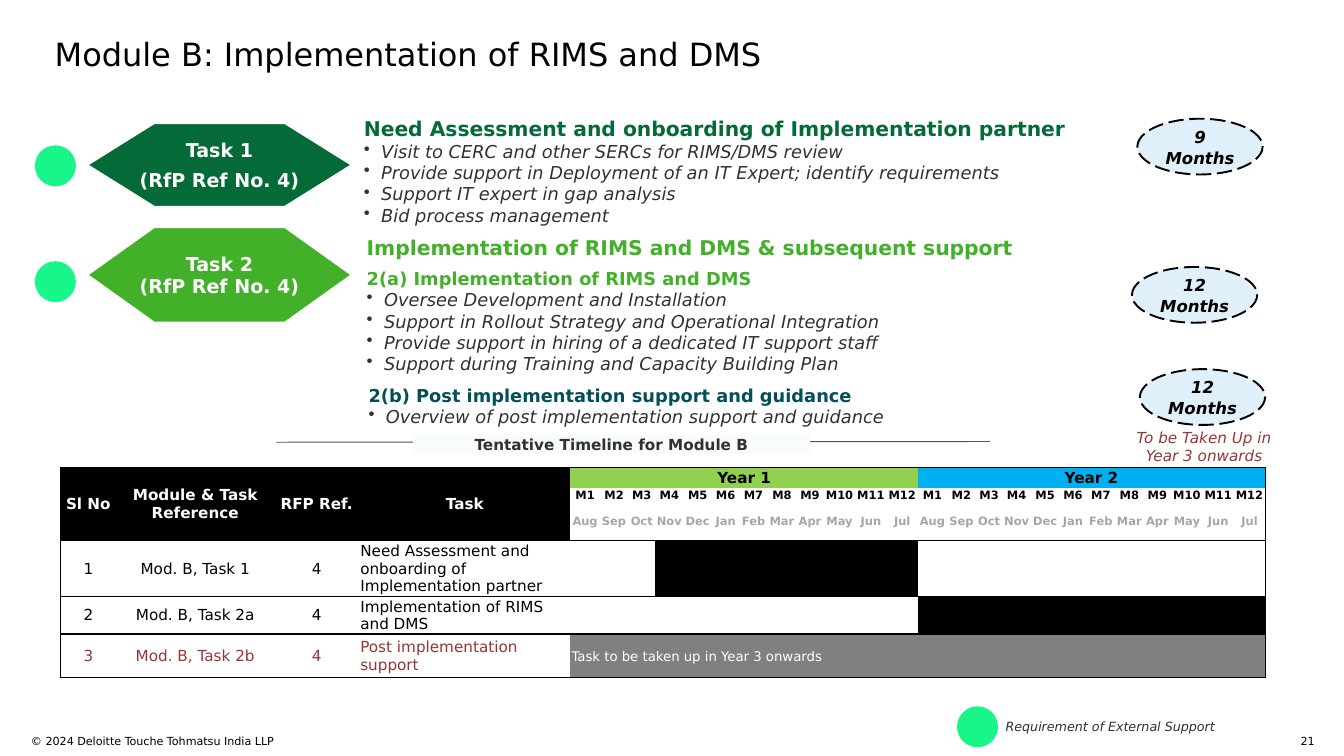
from dataclasses import dataclass
from typing import NamedTuple

from lxml import etree
from pptx import Presentation
from pptx import util as u
from pptx.dml.color import RGBColor
from pptx.enum import dml, shapes, text
from pptx.oxml import ns

Cm = u.Cm
ALIGN = text.PP_ALIGN
ANCHOR = text.MSO_ANCHOR
KIND = shapes.MSO_SHAPE


class Style(NamedTuple):
    size: float
    color: str
    bold: bool = False
    slant: bool = False


@dataclass(frozen=True)
class Theme:
    font: str = "DejaVu Sans"
    black: str = "000000"
    white: str = "FFFFFF"
    forest: str = "046A38"
    green: str = "43B02A"
    mint: str = "18F689"
    sky: str = "E0F0FA"
    pale: str = "F8FCFA"
    rule: str = "53565A"
    gray: str = "808080"
    lime: str = "92D050"
    blue: str = "00B0F0"
    stripe: str = "C5D9F1"
    title: Style = Style(25.2, "000000")
    foot: Style = Style(8.8, "000000")
    item: Style = Style(14, "313131", slant=True)
    head1: Style = Style(16, "046A38", True)
    head2: Style = Style(16, "43B02A", True)
    sub2a: Style = Style(14, "43B02A", True)
    sub2b: Style = Style(14, "004F59", True)
    task: Style = Style(15, "FFFFFF", True)
    term: Style = Style(13, "000000", True, True)
    band: Style = Style(12, "313131", True)
    key: Style = Style(10, "313131", slant=True)
    note: Style = Style(12, "963634", slant=True)
    top: Style = Style(12, "FFFFFF", True)
    year: Style = Style(12, "000000", True)
    num: Style = Style(9, "000000", True)
    month: Style = Style(9, "A6A6A6", True)
    body: Style = Style(12, "000000")
    later: Style = Style(12, "963634")
    bar: Style = Style(10.5, "FFFFFF")


T = Theme()


class Line(NamedTuple):
    text: str
    style: Style
    gap: float = 0
    bullet: bool = False


class Box(NamedTuple):
    left: float
    top: float
    width: float
    height: float


class Block(NamedTuple):
    box: Box
    lines: list[Line]
    align: ALIGN = ALIGN.LEFT
    pad: tuple[float, float] = (0, 0)


class Task(NamedTuple):
    top: float
    height: float
    fill: str
    lines: list[Line]


class Row(NamedTuple):
    cells: list[str]
    style: Style
    bar: range


def rgb(code: str) -> RGBColor:
    return RGBColor.from_string(code)


def place(box: Box) -> list[u.Length]:
    return [Cm(n) for n in box]


def write(frame, lines: list[Line], align=ALIGN.CENTER, pad=(0, 0),
          anchor=ANCHOR.TOP, space=None) -> None:
    frame.word_wrap = True
    frame.vertical_anchor = anchor
    frame.margin_left = frame.margin_right = Cm(pad[0])
    frame.margin_top = frame.margin_bottom = Cm(pad[1])
    frame.text = "\n".join(line.text for line in lines)
    for para, line in zip(frame.paragraphs, lines):
        para.alignment = align
        para.space_before = u.Pt(line.gap)
        if space:
            para.line_spacing = space
        if line.bullet:
            props = para._p.get_or_add_pPr()
            props.set("marL", str(Cm(0.48)))
            props.set("indent", str(-Cm(0.48)))
            etree.SubElement(props, ns.qn("a:buChar")).set("char", "•")
        for run in para.runs:
            font, style = run.font, line.style
            font.name, font.size = T.font, u.Pt(style.size)
            font.bold, font.italic = style.bold, style.slant
            font.color.rgb = rgb(style.color)


def paint(shape, fill: str, edge: str = "", width: float = 1) -> None:
    shape.shadow.inherit = False
    shape.fill.solid()
    shape.fill.fore_color.rgb = rgb(fill)
    if edge:
        shape.line.color.rgb = rgb(edge)
        shape.line.width = u.Pt(width)
    else:
        shape.line.fill.background()


def label(slide, block: Block) -> None:
    frame = slide.shapes.add_textbox(*place(block.box)).text_frame
    write(frame, block.lines, block.align, block.pad)


def dot(slide, left: float, top: float) -> None:
    paint(slide.shapes.add_shape(KIND.OVAL, *place(Box(left, top, 1.14, 1.14))), T.mint)


def badge(slide, left: float, top: float, words: str) -> None:
    oval = slide.shapes.add_shape(KIND.OVAL, *place(Box(left, top, 3.48, 1.55)))
    paint(oval, T.sky, T.black, 1.5)
    oval.line.dash_style = dml.MSO_LINE.LONG_DASH
    write(oval.text_frame, [Line(words, T.term)], pad=(0.25, 0.25),
          anchor=ANCHOR.MIDDLE, space=1.06)


def hexa(slide, task: Task) -> None:
    left, right, cut = 2.44, 9.76, 1.85
    mid, base = task.top + task.height / 2, task.top + task.height
    pen = slide.shapes.build_freeform(Cm(left + cut), Cm(base))
    pen.add_line_segments([(Cm(x), Cm(y)) for x, y in (
        (left, mid), (left + cut, task.top), (right - cut, task.top),
        (right, mid), (right - cut, base))])
    shape = pen.convert_to_shape()
    paint(shape, task.fill, T.white)
    write(shape.text_frame, task.lines, pad=(0.25, 0.13), anchor=ANCHOR.MIDDLE)


def rule(slide) -> None:
    line = slide.shapes.add_connector(
        shapes.MSO_CONNECTOR.STRAIGHT, Cm(7.67), Cm(12.29), Cm(27.51), Cm(12.27))
    line.line.color.rgb, line.line.width = rgb(T.rule), u.Pt(0.75)
    etree.SubElement(line._element.spPr, ns.qn("a:effectLst"))
    band = slide.shapes.add_shape(KIND.RECTANGLE, *place(Box(11.48, 12.09, 11.02, 0.51)))
    paint(band, T.pale)
    write(band.text_frame, [Line("Tentative Timeline for Module B", T.band)])


def edge(cell, sides: str) -> None:
    props = cell._tc.get_or_add_tcPr()
    for side in sides:
        line = etree.SubElement(props, ns.qn(f"a:ln{side}"), w=str(u.Pt(1)))
        fill = etree.SubElement(line, ns.qn("a:solidFill"))
        etree.SubElement(fill, ns.qn("a:srgbClr"), val=T.black)


def put(cell, words: str, style: Style, align=ALIGN.CENTER, fill: str = "") -> None:
    write(cell.text_frame, [Line(words, style)], align)
    if fill:
        cell.fill.solid()
        cell.fill.fore_color.rgb = rgb(fill)


def chart(slide) -> None:
    months = "Aug Sep Oct Nov Dec Jan Feb Mar Apr May Jun Jul".split()
    spans = [0.81, 0.8, 0.74, 0.79, 0.79, 0.76, 0.79, 0.79, 0.77, 0.87, 0.87, 0.87]
    wide = [1.55, 4.39, 2.36, 5.87] + spans * 2
    high = [0.56, 0.42, 0.98, 1.55, 1.03, 1.22]
    rows = [
        Row(["1", "Mod. B, Task 1", "4",
             "Need Assessment and onboarding of Implementation partner"], T.body, range(7, 16)),
        Row(["2", "Mod. B, Task 2a", "4", "Implementation of RIMS and DMS"],
            T.body, range(16, 28)),
        Row(["3", "Mod. B, Task 2b", "4", "Post implementation support"], T.later, range(0)),
    ]
    box = Box(1.68, 12.99, sum(wide), sum(high))
    grid = slide.shapes.add_table(len(high), len(wide), *place(box)).table
    grid.first_row = grid.horz_banding = False
    grid._tbl.tblPr.find(ns.qn("a:tableStyleId")).text = "{2D5ABB26-0587-4C30-8999-92F81FD0307C}"
    for col, size in zip(grid.columns, wide):
        col.width = Cm(size)
    for row, size in zip(grid.rows, high):
        row.height = Cm(size)
    for c in range(4):
        grid.cell(0, c).merge(grid.cell(2, c))
    for r, c in ((0, 4), (0, 16)):
        grid.cell(r, c).merge(grid.cell(r, c + 11))
    grid.cell(5, 4).merge(grid.cell(5, 27))
    for r in range(len(high)):
        for c in range(len(wide)):
            cell = grid.cell(r, c)
            edge(cell, ("L" if c == 0 else "")
                 + ("R" if c + cell.span_width == len(wide) else "")
                 + ("T" if r in (0, 3, 4, 5) else "")
                 + ("B" if r + cell.span_height >= 3 else ""))
            cell.vertical_anchor = ANCHOR.MIDDLE
            cell.margin_left = cell.margin_right = cell.margin_top = Cm(0.03)
            cell.margin_bottom = 0
    for c, words in enumerate(["Sl No", "Module & Task Reference", "RFP Ref.", "Task"]):
        put(grid.cell(0, c), words, T.top, fill=T.black)
    for c, words, fill in ((4, "Year 1", T.lime), (16, "Year 2", T.blue)):
        put(grid.cell(0, c), words, T.year, fill=fill)
        for n, month in enumerate(months):
            put(grid.cell(1, c + n), f"M{n + 1}", T.num)
            put(grid.cell(2, c + n), month, T.month)
    for r, row in enumerate(rows, 3):
        for c, words in enumerate(row.cells):
            put(grid.cell(r, c), words, row.style, ALIGN.LEFT if c == 3 else ALIGN.CENTER)
        for c in row.bar:
            fill = grid.cell(r, c).fill
            fill.patterned()
            fill.pattern = dml.MSO_PATTERN.DARK_HORIZONTAL
            fill.fore_color.rgb, fill.back_color.rgb = rgb(T.black), rgb(T.stripe)
    put(grid.cell(5, 4), "Task to be taken up in Year 3 onwards", T.bar, ALIGN.LEFT, T.gray)


def items(*words: str) -> list[Line]:
    return [Line(word, T.item, bullet=True) for word in words]


def main() -> None:
    """Build the Module B slide."""
    deck = Presentation()
    deck.slide_width, deck.slide_height = Cm(37.34), Cm(21.01)
    slide = deck.slides.add_slide(deck.slide_layouts[6])
    ref = "(RfP Ref No. 4)"
    blocks = [
        Block(Box(0.86, 20.4, 16.41, 0.6),
              [Line("© 2024 Deloitte Touche Tohmatsu India LLP", T.foot)]),
        Block(Box(35.59, 20.4, 0.94, 0.3), [Line("21", T.foot)], ALIGN.RIGHT),
        Block(Box(1.52, 0.97, 34.19, 1.02),
              [Line("Module B: Implementation of RIMS and DMS", T.title)]),
        Block(Box(10.11, 3.23, 20.88, 3.07), [
            Line("Need Assessment and onboarding of Implementation partner", T.head1),
            *items("Visit to CERC and other SERCs for RIMS/DMS review",
                   "Provide support in Deployment of an IT Expert; identify requirements",
                   "Support IT expert in gap analysis", "Bid process management"),
        ], ALIGN.JUSTIFY),
        Block(Box(10.19, 6.55, 20.57, 3.89), [
            Line("Implementation of RIMS and DMS & subsequent support", T.head2),
            Line("2(a) Implementation of RIMS and DMS", T.sub2a, 6),
            *items("Oversee Development and Installation",
                   "Support in Rollout Strategy and Operational Integration",
                   "Provide support in hiring of a dedicated IT support staff",
                   "Support during Training and Capacity Building Plan"),
        ], ALIGN.JUSTIFY),
        Block(Box(10.24, 10.69, 20.57, 1.19), [
            Line("2(b) Post implementation support and guidance", T.sub2b),
            *items("Overview of post implementation support and guidance"),
        ], ALIGN.JUSTIFY),
        Block(Box(27.94, 19.99, 7.21, 0.43),
              [Line("Requirement of External Support", T.key)]),
        Block(Box(31.04, 11.76, 4.83, 1.27),
              [Line("To be Taken Up in Year 3 onwards", T.note)], ALIGN.CENTER, (0.25, 0.13)),
    ]
    for block in blocks:
        label(slide, block)
    for left, top, words in ((31.6, 3.3, "9 Months"), (31.45, 7.42, "12 Months"),
                             (31.67, 10.26, "12 Months")):
        badge(slide, left, top, words)
    for task in (Task(3.43, 2.31, T.forest, [Line("Task 1", T.task), Line(ref, T.task, 6)]),
                 Task(6.32, 2.64, T.green, [Line("Task 2", T.task), Line(ref, T.task)])):
        hexa(slide, task)
    for left, top in ((26.59, 19.63), (0.97, 4.04), (0.97, 7.26)):
        dot(slide, left, top)
    rule(slide)
    chart(slide)
    deck.save("out.pptx")


if __name__ == "__main__":
    main()
